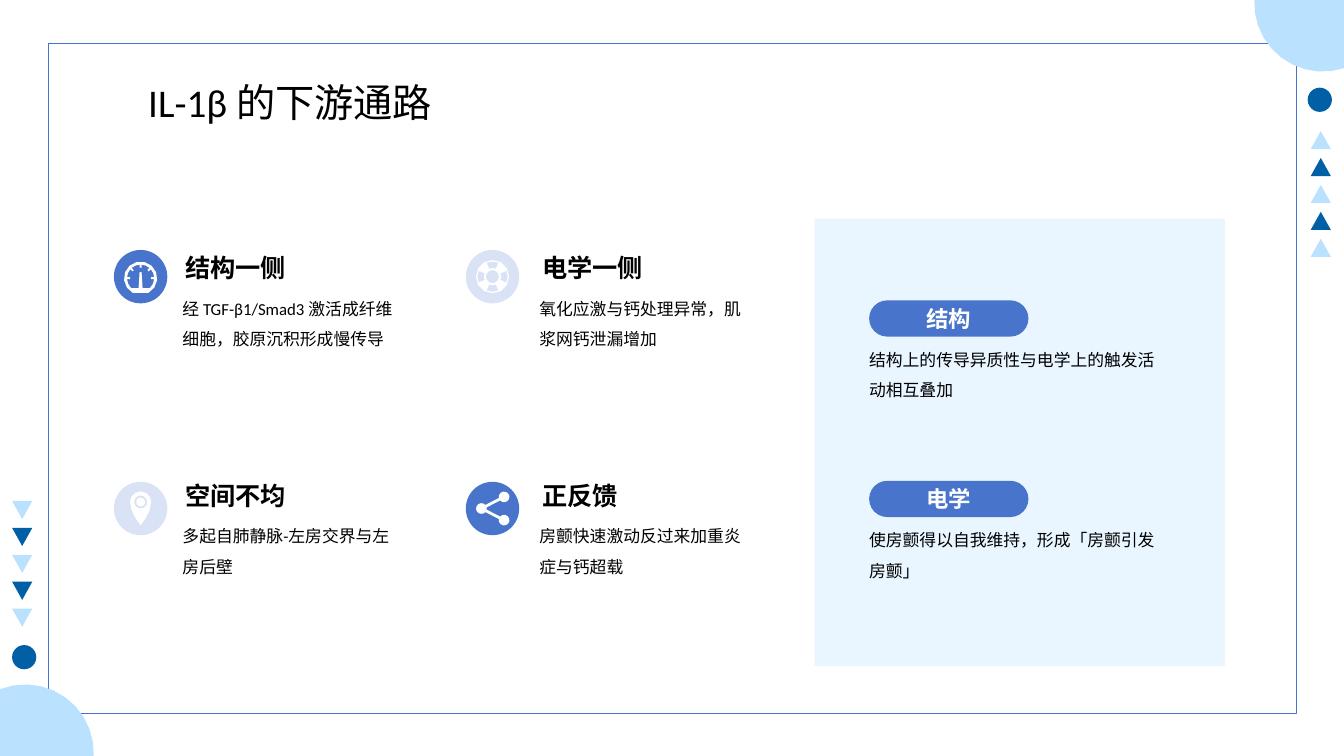
import math
import pptx
import pptx.dml.color
import pptx.enum.shapes
import pptx.enum.text
import pptx.oxml.ns
import pptx.util
from lxml import etree

inch = pptx.util.Inches
kinds = pptx.enum.shapes.MSO_SHAPE
anchors = pptx.enum.text.MSO_ANCHOR
aligns = pptx.enum.text.PP_ALIGN
BLUE, PALE, SKY, NAVY, WHITE, BLACK = (
    "4874CB", "DAE3F5", "BAE2FF", "005FA5", "FFFFFF", "000000")


def paint(shape, colour):
    shape.shadow.inherit = False
    shape.fill.solid()
    shape.fill.fore_color.rgb = pptx.dml.color.RGBColor.from_string(colour)
    shape.line.fill.background()


def write(shape, text, size, colour=BLACK, bold=False, inset=(0, 0),
          spacing=1.0, align=aligns.LEFT, anchor=anchors.TOP):
    frame = shape.text_frame
    frame.word_wrap = True
    frame.auto_size = pptx.enum.text.MSO_AUTO_SIZE.NONE
    frame.vertical_anchor = anchor
    frame.margin_left = frame.margin_right = inch(inset[0])
    frame.margin_top = frame.margin_bottom = inch(inset[1])
    para = frame.paragraphs[0]
    para.alignment = align
    para.line_spacing = spacing
    span = para.add_run()
    span.text = text
    span.font.name = "Calibri"
    span.font.size = pptx.util.Pt(size)
    span.font.bold = bold
    span.font.color.rgb = pptx.dml.color.RGBColor.from_string(colour)


deck = pptx.Presentation()
deck.slide_width, deck.slide_height = inch(13.33), inch(7.5)
page = deck.slides.add_slide(deck.slide_layouts[5])
shapes = page.shapes

border = shapes.add_shape(kinds.RECTANGLE, inch(0.48), inch(0.43), inch(12.38), inch(6.65))
paint(border, WHITE)
border.fill.background()
border.line.color.rgb = pptx.dml.color.RGBColor.from_string(BLUE)
border.line.width = pptx.util.Pt(1)

title = shapes.title
title.left, title.top, title.width, title.height = inch(1.47), inch(0.78), inch(3.6), inch(0.47)
write(title, "IL-1β 的下游通路", 28)

for left, top, turn, dot_left, dot_top in [
        (13, 1.3, 0, 12.97, 0.87), (0.12, 4.97, 180, 0.12, 6.4)]:
    for step in range(5):
        triangle = shapes.add_shape(kinds.ISOSCELES_TRIANGLE, inch(left),
                                    inch(top + step * 0.267), inch(0.2), inch(0.18))
        triangle.rotation = turn
        paint(triangle, [SKY, NAVY][step % 2])
    dot = shapes.add_shape(kinds.OVAL, inch(dot_left), inch(dot_top), inch(0.24), inch(0.24))
    paint(dot, NAVY)

cards = [
    ("结构一侧", "经 TGF-β1/Smad3 激活成纤维细胞，胶原沉积形成慢传导", BLUE),
    ("电学一侧", "氧化应激与钙处理异常，肌浆网钙泄漏增加", PALE),
    ("空间不均", "多起自肺静脉-左房交界与左房后壁", PALE),
    ("正反馈", "房颤快速激动反过来加重炎症与钙超载", BLUE),
]
for index, (heading, detail, colour) in enumerate(cards):
    row, column = divmod(index, 2)
    disc = shapes.add_shape(kinds.OVAL, inch(1.13 + column * 3.49), inch(2.48 + row * 2.3),
                            inch(0.53), inch(0.53))
    paint(disc, colour)
    text_left = inch(1.74 + column * 3.54)
    box = shapes.add_textbox(text_left, inch(2.45 + row * 2.27), inch(2.11), inch(0.4))
    write(box, heading, 18, bold=True, inset=(0.1, 0.05))
    box = shapes.add_textbox(text_left, inch(2.83 + row * 2.26), inch(2.3), inch(1.25))
    write(box, detail, 12, inset=(0.07, 0.03), spacing=1.5)

dial = []
for tick in range(180, 361, 45):
    dial += [(0, 1.5, 13.5, tick - 41, tick - 4), (0, 1.5, 10.5, tick - 5, tick + 5)]
dial += [(0, 1.5, 13.5, 364, 408), (9, 11.5, 0, 0, 0), (2, 11.5, 0, 0, 0),
         (1, -4.5, 0, 0, 0), (-1, -4.5, 0, 0, 0), (-2, 11.5, 0, 0, 0), (-9, 11.5, 0, 0, 0)]
gauge = [[(0, 1.5, 16.5, 118, 422)], dial]
wheel = [[(0, 0, 16.5, 0, 360)], [(0, 0, 6.5, 0, 360)]]
for middle in range(0, 360, 90):
    wheel.append([(0, 0, 15, middle - 23, middle + 23), (0, 0, 8.5, middle + 23, middle - 23)])
pin = [[(0, -6.5, 10.5, 180, 360), (8.9, 1.7, 0, 0, 0), (5.3, 9.1, 0, 0, 0),
        (0, 16.5, 0, 0, 0), (-5.3, 9.1, 0, 0, 0), (-8.9, 1.7, 0, 0, 0)],
       [(0, -6.5, 6.5, 0, 360)], [(0, -6.5, 4.4, 0, 360)]]
share = [[(-11, 0, 5.3, 42, 318), (11.5, -11.5, 5.3, 168, 498),
          (-11, 0, 5.3, 348, 372), (11.5, 11.5, 5.3, 222, 552)]]
top_corner = [[(1312, 3, 68, 182.5, 72), (1333, 0, 0, 0, 0)]]
bottom_corner = [[(25, 747, 68, 249, 362.5), (0, 750, 0, 0, 0), (0, 684, 0, 0, 0)]]

unit = inch(0.01)
for left, top, colour, contours in [
        (0, 0, SKY, top_corner), (0, 0, SKY, bottom_corner),
        (1.395, 2.745, WHITE, gauge), (4.885, 2.745, WHITE, wheel),
        (1.395, 5.045, WHITE, pin), (4.885, 5.045, WHITE, share)]:
    builder = None
    for contour in contours:
        points = []
        for x, y, radius, start, end in contour:
            steps = math.ceil(abs(end - start) / (12 if radius > 20 else 30))
            for step in range(steps + 1):
                angle = math.radians(start + (end - start) * step / max(steps, 1))
                points.append(((x + radius * math.cos(angle)) * unit,
                               (y + radius * math.sin(angle)) * unit))
        if builder is None:
            builder = shapes.build_freeform(*points[0])
        else:
            builder.move_to(*points[0])
        builder.add_line_segments(points[1:], close=True)
    paint(builder.convert_to_shape(inch(left), inch(top)), colour)

panel = shapes.add_shape(kinds.RECTANGLE, inch(8.08), inch(2.17), inch(4.07), inch(4.44))
paint(panel, SKY)
tint = panel.fill._xPr.find(".//" + pptx.oxml.ns.qn("a:srgbClr"))
etree.SubElement(tint, pptx.oxml.ns.qn("a:alpha")).set("val", "31000")

for row, (label, detail) in enumerate([
        ("结构", "结构上的传导异质性与电学上的触发活动相互叠加"),
        ("电学", "使房颤得以自我维持，形成「房颤引发房颤」")]):
    top = 2.98 + row * 1.79
    pill = shapes.add_shape(kinds.ROUNDED_RECTANGLE, inch(8.62), inch(top), inch(1.58), inch(0.36))
    pill.adjustments[0] = 0.5
    paint(pill, BLUE)
    write(pill, label, 16, WHITE, True, align=aligns.CENTER, anchor=anchors.MIDDLE)
    box = shapes.add_textbox(inch(8.55), inch(top + 0.36), inch(3.12), inch(0.94))
    write(box, detail, 12, inset=(0.07, 0.03), spacing=1.5)

deck.save("out.pptx")
